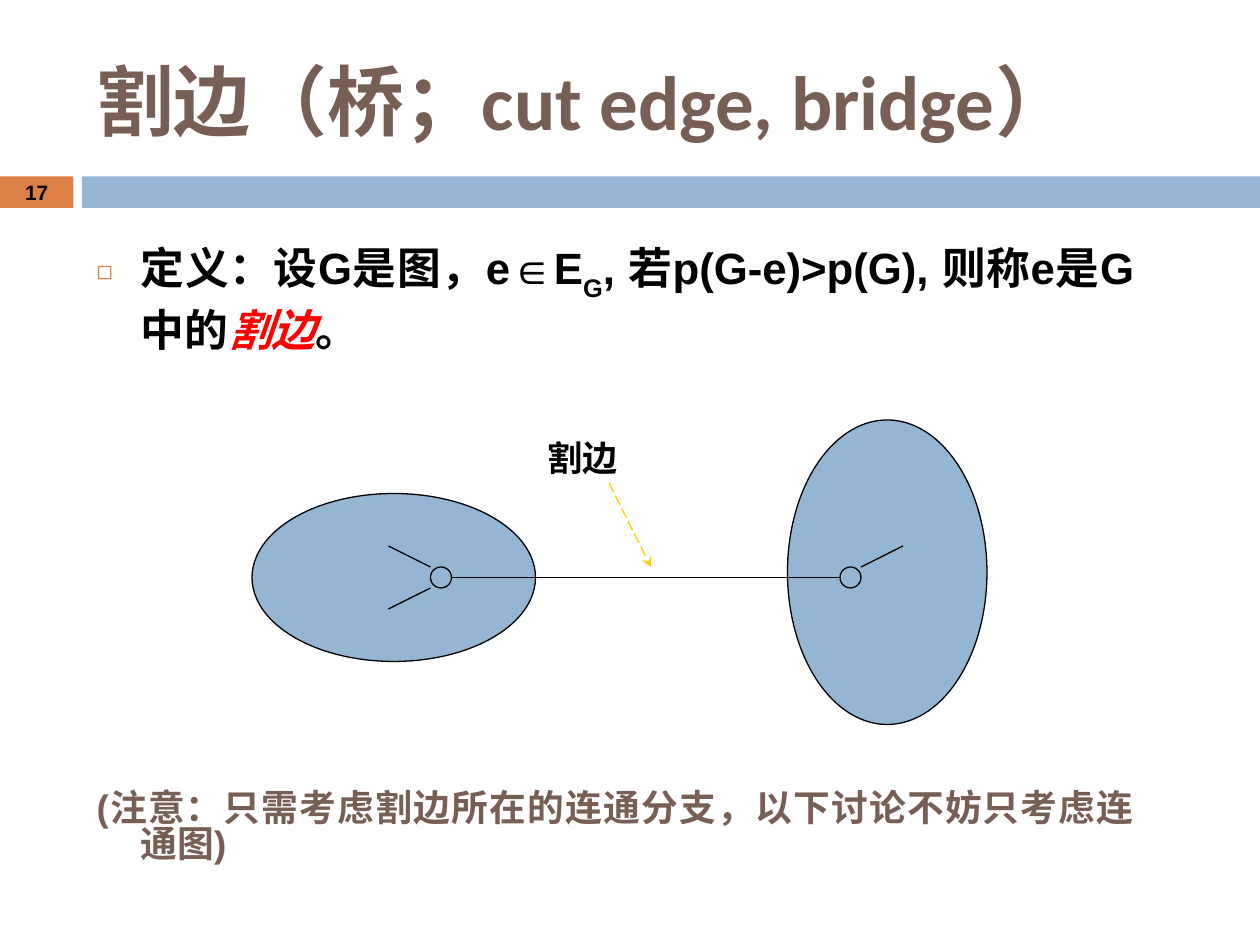
from dataclasses import dataclass

import pptx
import pptx.dml.color
import pptx.enum.dml
import pptx.enum.shapes
import pptx.enum.text
import pptx.oxml
import pptx.oxml.ns
import pptx.util
from lxml import etree

RGBColor = pptx.dml.color.RGBColor
Align = pptx.enum.text.PP_ALIGN
Anchor = pptx.enum.text.MSO_ANCHOR
Shape = pptx.enum.shapes.MSO_SHAPE

BLACK = RGBColor(0x00, 0x00, 0x00)
RED = RGBColor(0xFF, 0x00, 0x00)
BROWN = RGBColor(0x77, 0x5F, 0x55)
BLUE = RGBColor(0x94, 0xB6, 0xD2)
ORANGE = RGBColor(0xDD, 0x80, 0x47)
YELLOW = RGBColor(0xFF, 0xCC, 0x00)

# The page is a grid of 120 columns and 90 rows, each 1/12 inch
COLUMNS, ROWS = 120, 90
CELL = pptx.util.Inches(10) // COLUMNS


@dataclass
class Area:
    column: float
    row: float
    columns: float
    rows: float

    def lengths(self) -> list[int]:
        return [round(n * CELL) for n in (self.column, self.row, self.columns, self.rows)]


@dataclass
class Edge:
    start: tuple[float, float]
    end: tuple[float, float]
    color: RGBColor = BLACK


@dataclass
class Span:
    text: str
    size: float
    color: RGBColor = BLACK
    font: str = "Arial"
    italic: bool = False
    baseline: int = 0


TITLE = Area(8, 3, 107, 13)
BODY = Area(8, 22.3, 101.2, 64.3)
NUMBER_BAND = Area(0, 16.8, 7, 3)
WIDE_BAND = Area(7.8, 16.8, 112.2, 3)
NUMBER = Area(0, 16.7, 7, 3.2)
LABEL = Area(51, 41, 18, 5.2)
COMPONENTS = [Area(24, 47, 27, 16), Area(75, 40, 19, 29)]
NODES = [Area(41, 54, 2, 2), Area(80, 54, 2, 2)]
BRIDGE = Edge((42, 55), (80, 55))
INNER_EDGES = [
    Edge((41, 54), (37, 52)),
    Edge((41, 56), (37, 58)),
    Edge((82, 54), (86, 52)),
]
POINTER = Edge((58, 46), (62, 54), YELLOW)

DEFINITION = [
    Span("定义：设G是图，e∈E", 25),
    Span("G", 25, baseline=-30000),
    Span(", 若p(G-e)>p(G), 则称e是G中的", 25),
    Span("割边", 25, RED, italic=True),
    Span("。", 25),
]
NOTE = [Span("(注意：只需考虑割边所在的连通分支，以下讨论不妨只考虑连通图)", 21, BROWN)]


def write(para, spans: list[Span], align=Align.LEFT) -> None:
    para.alignment = align
    for item in spans:
        span = para.add_run()
        span.text = item.text
        span.font.name = item.font
        span.font.size = pptx.util.Pt(item.size)
        span.font.bold = True
        span.font.italic = item.italic
        span.font.color.rgb = item.color
        if item.baseline:
            span._r.get_or_add_rPr().set("baseline", str(item.baseline))


def place(box, area: Area) -> None:
    box.left, box.top, box.width, box.height = area.lengths()


def add_filled(page, kind, area: Area, fill: RGBColor, outlined: bool = False) -> None:
    box = page.shapes.add_shape(kind, *area.lengths())
    box.shadow.inherit = False
    box.fill.solid()
    box.fill.fore_color.rgb = fill
    if outlined:
        box.line.color.rgb = BLACK
        box.line.width = pptx.util.Pt(0.75)
    else:
        box.line.fill.background()


def add_edge(page, edge: Edge):
    ends = [round(n * CELL) for n in (*edge.start, *edge.end)]
    line = page.shapes.add_connector(pptx.enum.shapes.MSO_CONNECTOR.STRAIGHT, *ends)
    line.line.color.rgb = edge.color
    line.line.width = pptx.util.Pt(0.75)
    etree.SubElement(line._element.spPr, pptx.oxml.ns.qn("a:effectLst"))
    return line


def add_text(page, area: Area, span: Span, align=Align.LEFT, anchor=Anchor.TOP) -> None:
    box = page.shapes.add_textbox(*area.lengths())
    box.text_frame.word_wrap = True
    box.text_frame.vertical_anchor = anchor
    write(box.text_frame.paragraphs[0], [span], align)


def set_bullet(para, *markup: str) -> None:
    properties = para._p.get_or_add_pPr()
    properties.set("marL", str(pptx.util.Inches(0.35)))
    properties.set("indent", str(-pptx.util.Inches(0.35)))
    namespace = pptx.oxml.ns.nsdecls("a")
    for tag in markup:
        properties.append(pptx.oxml.parse_xml(tag.replace("NS", namespace)))


def fill_body(body) -> None:
    place(body, BODY)
    frame = body.text_frame
    frame.auto_size = pptx.enum.text.MSO_AUTO_SIZE.NONE
    para = frame.paragraphs[0]
    write(para, DEFINITION, Align.JUSTIFY)
    para.space_before = pptx.util.Pt(7)
    set_bullet(
        para,
        f'<a:buClr NS><a:srgbClr val="{ORANGE}"/></a:buClr>',
        '<a:buSzPct NS val="60000"/>',
        '<a:buChar NS char="◻"/>',
    )
    # The note stands below the drawing
    para = frame.add_paragraph()
    write(para, NOTE, Align.JUSTIFY)
    para.space_before = pptx.util.Pt(250)
    para.line_spacing = 0.82
    set_bullet(para, "<a:buNone NS/>")


def main() -> None:
    deck = pptx.Presentation()
    deck.slide_width, deck.slide_height = COLUMNS * CELL, ROWS * CELL
    page = deck.slides.add_slide(deck.slide_layouts[1])

    # Title and body
    title = page.shapes.title
    place(title, TITLE)
    title.text_frame.vertical_anchor = Anchor.MIDDLE
    write(title.text_frame.paragraphs[0],
          [Span("割边（桥；cut edge, bridge）", 44, BROWN, "Calibri")])
    fill_body(page.placeholders[1])

    # Bands and page number
    add_filled(page, Shape.RECTANGLE, NUMBER_BAND, ORANGE)
    add_filled(page, Shape.RECTANGLE, WIDE_BAND, BLUE)
    add_text(page, NUMBER, Span("17", 11.9), Align.CENTER, Anchor.MIDDLE)

    # Graph: two components joined by the bridge
    for component in COMPONENTS:
        add_filled(page, Shape.OVAL, component, BLUE, outlined=True)
    add_edge(page, BRIDGE)
    for node in NODES:
        add_filled(page, Shape.OVAL, node, BLUE, outlined=True)
    for edge in INNER_EDGES:
        add_edge(page, edge)

    # Label with its dashed arrow
    add_text(page, LABEL, Span("割边", 20, font="Times New Roman"))
    pointer = add_edge(page, POINTER)
    pointer.line.dash_style = pptx.enum.dml.MSO_LINE.LONG_DASH
    etree.SubElement(pointer.line._get_or_add_ln(), pptx.oxml.ns.qn("a:tailEnd"), type="stealth")

    deck.save("out.pptx")


if __name__ == "__main__":
    main()
